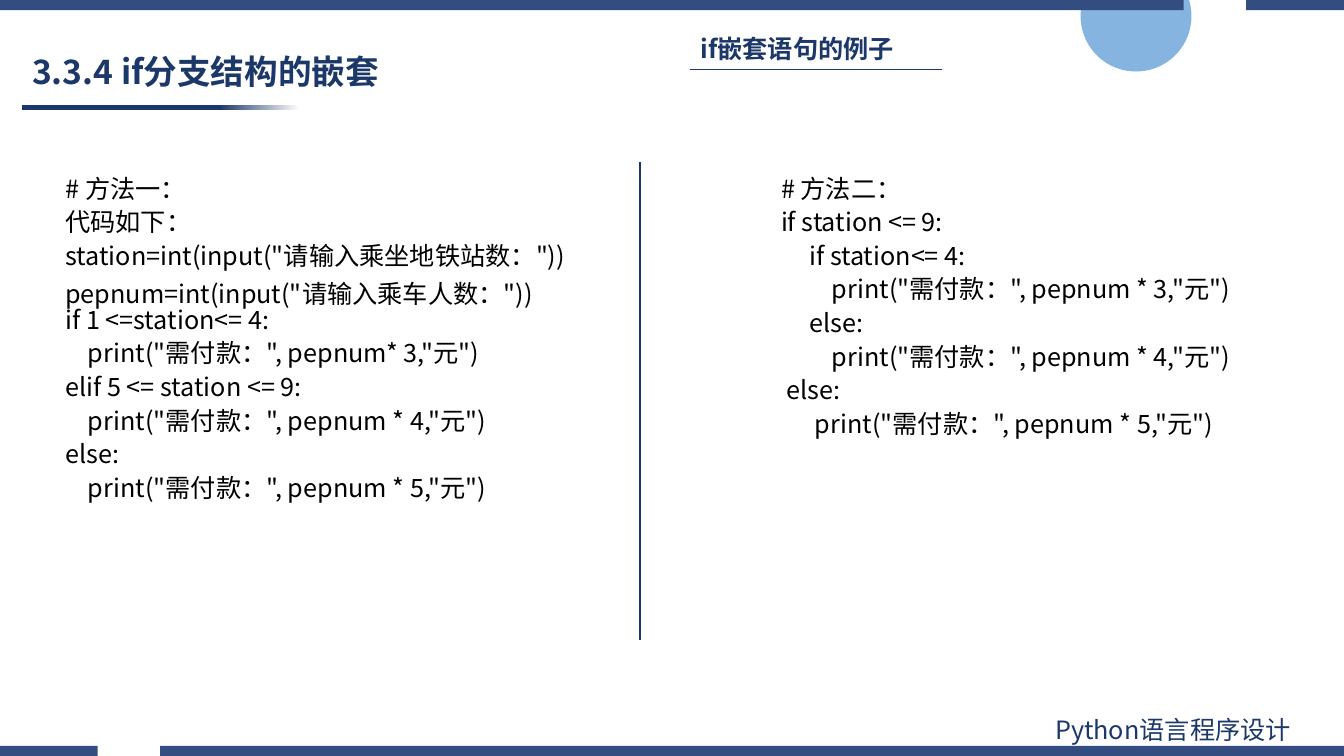
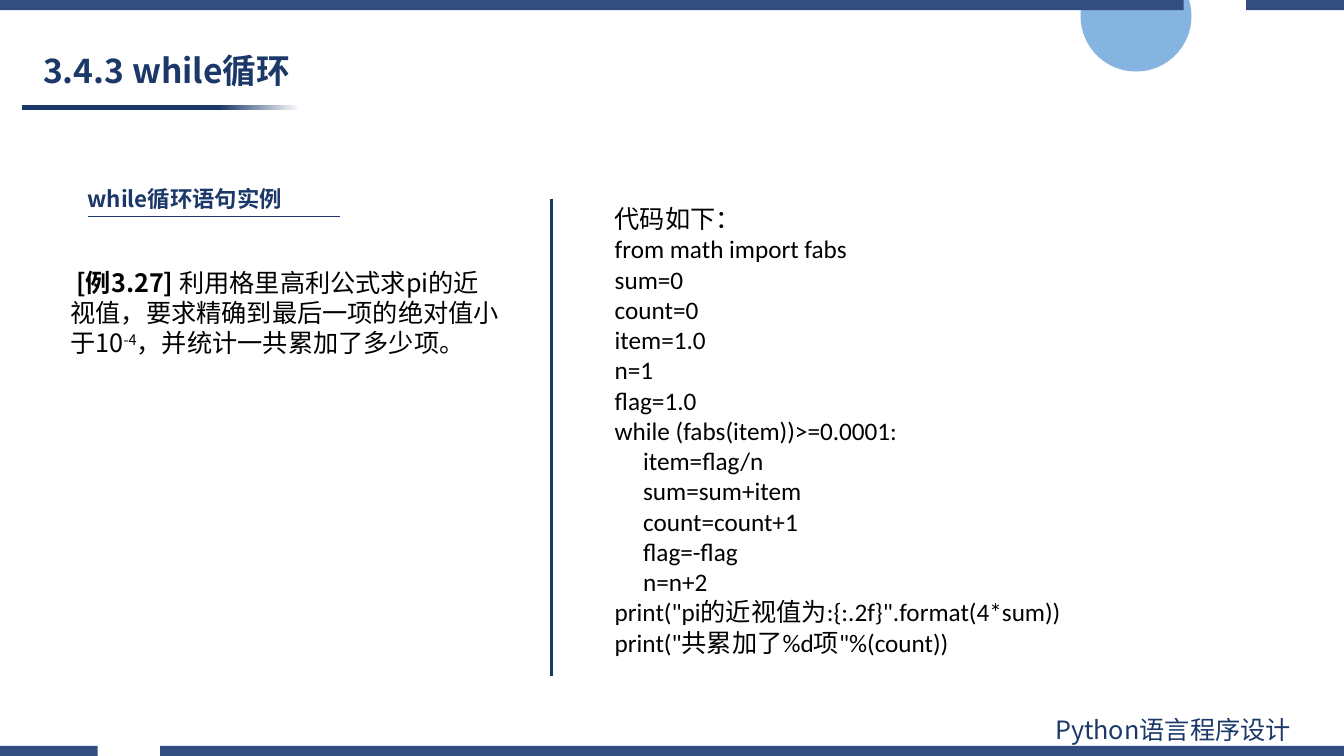
from lxml.etree import SubElement
from pptx import Presentation
from pptx.dml.color import RGBColor
from pptx.enum.shapes import MSO_CONNECTOR, MSO_SHAPE
from pptx.enum.text import MSO_ANCHOR
from pptx.oxml.ns import qn
from pptx.util import Inches, Pt

COLORS = {
    "navy": "1B3868",
    "band": "334D80",
    "sky": "5B9BD5",
    "white": "FFFFFF",
    "black": "000000",
}
CJK_FONT = "Noto Sans CJK SC"
CODE_FONT = "Calibri"
COLUMNS, ROWS = 160, 90
BAND_HEIGHT = 1.2
BAND_PIECES = [(0, 11.64), (19.08, COLUMNS)]
DIVIDER_LENGTH = 56.88
RULE_LENGTH = 30


def color(name):
    return RGBColor.from_string(COLORS[name])


class Lesson:
    """Holds the style and the current page; lengths are grid columns and rows."""

    def __init__(self):
        self.deck = Presentation()
        self.deck.slide_width = Inches(13.33)
        self.deck.slide_height = Inches(7.5)
        self.page = None

    def x(self, columns):
        return round(self.deck.slide_width * columns / COLUMNS)

    def y(self, rows):
        return round(self.deck.slide_height * rows / ROWS)

    def area(self, left, top, width, height):
        return self.x(left), self.y(top), self.x(width), self.y(height)

    # Page with the shared decoration
    def new_page(self):
        self.page = self.deck.slides.add_slide(self.deck.slide_layouts[6])
        self.circle((128.64, -4.68, 13.2, 13.2))
        self.fading_bar((2.58, 12.54, 33.12, 0.6))
        self.band(ROWS - BAND_HEIGHT, BAND_PIECES)
        self.band(0, [(COLUMNS - end, COLUMNS - start) for start, end in BAND_PIECES])
        footer = self.text_frame((124.44, 84.48, 35.28, 4.8))
        self.span(footer.paragraphs[0], "Python语言程序设计", ink="navy")

    # Shapes
    def shape(self, kind, place):
        shape = self.page.shapes.add_shape(kind, *self.area(*place))
        shape.shadow.inherit = False
        shape.line.fill.background()
        return shape

    def circle(self, place):
        circle = self.shape(MSO_SHAPE.OVAL, place)
        circle.fill.solid()
        circle.fill.fore_color.rgb = color("sky")
        tint = circle._element.spPr.find(".//" + qn("a:srgbClr"))
        SubElement(tint, qn("a:alpha")).set("val", "75000")

    def fading_bar(self, place):
        bar = self.shape(MSO_SHAPE.RECTANGLE, place)
        bar.fill.gradient()
        bar.fill.gradient_angle = 0
        stops = zip(bar.fill.gradient_stops, [(0.71, "navy"), (1, "white")])
        for stop, (position, name) in stops:
            stop.position = position
            stop.color.rgb = color(name)

    def band(self, top, pieces):
        upper, lower = self.y(top), self.y(top + BAND_HEIGHT)
        builder = self.page.shapes.build_freeform(self.x(pieces[0][0]), upper)
        for start, end in pieces:
            left, right = self.x(start), self.x(end)
            builder.move_to(left, upper)
            builder.add_line_segments([(right, upper), (right, lower), (left, lower)])
        band = builder.convert_to_shape()
        band.shadow.inherit = False
        band.fill.solid()
        band.fill.fore_color.rgb = color("band")
        band.line.fill.background()

    def line(self, left, top, right, bottom, weight):
        line = self.page.shapes.add_connector(
            MSO_CONNECTOR.STRAIGHT,
            self.x(left), self.y(top), self.x(right), self.y(bottom))
        line.line.color.rgb = color("navy")
        line.line.width = Pt(weight)
        SubElement(line._element.spPr, qn("a:effectLst"))

    def divider(self, left, top):
        self.line(left, top, left, top + DIVIDER_LENGTH, 2)

    # Text
    def text_frame(self, place):
        frame = self.page.shapes.add_textbox(*self.area(*place)).text_frame
        frame.word_wrap = True
        return frame

    def span(self, para, text, size=18, ink="black", bold=False,
             font=CJK_FONT, raised=False):
        span = para.add_run()
        span.text = text
        span.font.size = Pt(size)
        span.font.bold = bold
        span.font.color.rgb = color(ink)
        span.font.name = font
        properties = span._r.get_or_add_rPr()
        SubElement(properties, qn("a:ea")).set("typeface", CJK_FONT)
        if raised:
            properties.set("baseline", "30000")

    def title(self, text, place):
        frame = self.text_frame(place)
        frame.vertical_anchor = MSO_ANCHOR.MIDDLE
        para = frame.paragraphs[0]
        para.line_spacing = 0.9
        self.span(para, text, 24, "navy", True)

    def subtitle(self, text, left, top, size, rule_left, rule_top):
        para = self.text_frame((left, top, 40.8, 4.8)).paragraphs[0]
        self.span(para, text, size, "navy", True)
        self.line(rule_left, rule_top, rule_left + RULE_LENGTH, rule_top, 0.5)

    def code(self, listing, place, font=CJK_FONT, spaced=True, unspaced=""):
        """Writes a listing; the line starting with `unspaced` keeps single spacing."""
        frame = self.text_frame(place)
        for number, text in enumerate(listing.splitlines()):
            para = frame.add_paragraph() if number else frame.paragraphs[0]
            if spaced and not (unspaced and text.startswith(unspaced)):
                para.line_spacing = Pt(12)
                para.space_before = Pt(6 if number else 0)
                para.space_after = Pt(6)
            self.span(para, text, font=font)

    def exercise(self, spans, place):
        para = self.text_frame(place).paragraphs[0]
        para._p.get_or_add_pPr().set("indent", str(Inches(0.06)))
        for text, style in spans:
            self.span(para, text, **style)


METHOD_ONE = '''\
# 方法一：
代码如下：
station=int(input("请输入乘坐地铁站数："))
pepnum=int(input("请输入乘车人数："))
if 1 <=station<= 4:
    print("需付款：", pepnum* 3,"元")
elif 5 <= station <= 9:
    print("需付款：", pepnum * 4,"元")
else:
    print("需付款：", pepnum * 5,"元")'''

METHOD_TWO = '''\
# 方法二：
if station <= 9:
     if station<= 4:
         print("需付款：", pepnum * 3,"元")
     else:
         print("需付款：", pepnum * 4,"元")
 else:
      print("需付款：", pepnum * 5,"元")'''

PI_SERIES = '''\
代码如下：
from math import fabs
sum=0
count=0
item=1.0
n=1
flag=1.0
while (fabs(item))>=0.0001:
     item=flag/n
     sum=sum+item
     count=count+1
     flag=-flag
     n=n+2
print("pi的近视值为:{:.2f}".format(4*sum))
print("共累加了%d项"%(count))'''


def main():
    lesson = Lesson()

    # Nested if: two methods side by side
    lesson.new_page()
    lesson.title("3.3.4 if分支结构的嵌套", (2.64, 5.4, 67.8, 6.72))
    lesson.subtitle("if嵌套语句的例子", 82.2, 3.36, 18, 82.2, 8.28)
    lesson.divider(76.2, 19.32)
    lesson.code(METHOD_ONE, (6.6, 21.6, 66, 39.12), unspaced="pepnum")
    lesson.code(METHOD_TWO, (91.8, 21.6, 64.32, 31.8))

    # While loop: exercise and its code
    lesson.new_page()
    lesson.title("3.4.3 while循环", (3.96, 5.28, 42.84, 6.72))
    lesson.subtitle("while循环语句实例", 9.24, 21.48, 16, 10.44, 25.8)
    lesson.divider(65.64, 23.64)
    lesson.exercise([
        ("[例3.27] ", {"bold": True}),
        ("利用格里高利公式求pi的近视值，要求精确到最后一项的绝对值小于10", {}),
        ("-4", {"raised": True}),
        ("，并统计一共累加了多少项。", {}),
    ], (7.2, 31.2, 54, 12.12))
    lesson.code(PI_SERIES, (72, 23.64, 77.72, 55.68), font=CODE_FONT, spaced=False)

    lesson.deck.save("out.pptx")


if __name__ == "__main__":
    main()
